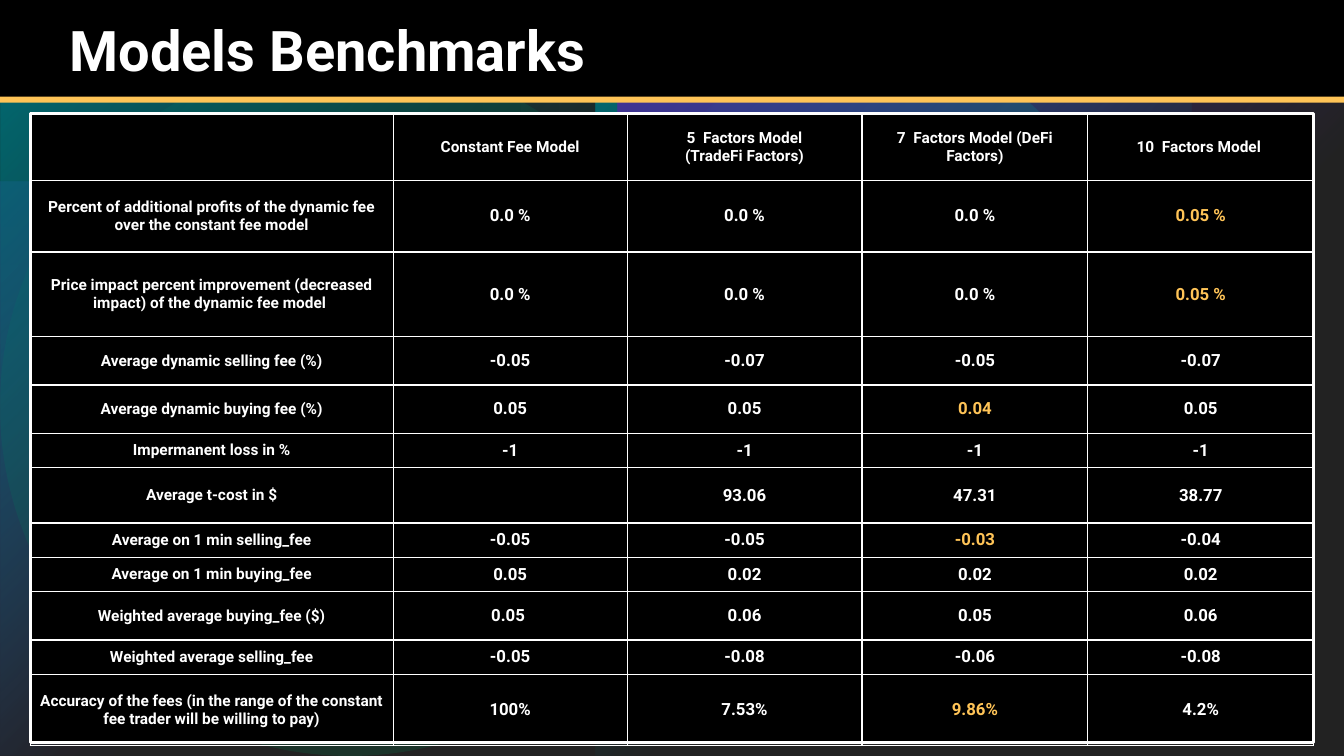
from pptx import Presentation
from pptx.dml.color import RGBColor
from pptx.enum.shapes import MSO_SHAPE
from pptx.enum.text import MSO_ANCHOR, PP_ALIGN
from pptx.oxml import parse_xml
from pptx.oxml.ns import nsdecls, qn
from pptx.util import Inches, Pt

RECT, OVAL = MSO_SHAPE.RECTANGLE, MSO_SHAPE.OVAL
MIDDLE, LEFT, CENTER = MSO_ANCHOR.MIDDLE, PP_ALIGN.LEFT, PP_ALIGN.CENTER
FONT = "Roboto"
WHITE, BLACK, GOLD = "FFFFFF", "000000", "FFC457"
TEAL, VIOLET, GREEN = "00BAC8", "794DFF", "00D17D"

COLS = [3.6, 2.32, 2.33, 2.24, 2.24]
ROWS = [0.66, 0.71, 0.84, 0.48, 0.48, 0.34, 0.55, 0.34, 0.34, 0.48, 0.34, 0.71]
HEADS = ["", "Constant Fee Model", "5  Factors Model\n(TradeFi Factors)",
         "7  Factors Model (DeFi Factors)", "10  Factors Model "]
BODY = [
    ["Percent of additional profits of the dynamic fee over the constant fee model",
     "0.0 %", "0.0 %", "0.0 %", "0.05 %"],
    ["Price impact percent improvement (decreased impact) of the dynamic fee model ",
     "0.0 %", "0.0 %", "0.0 %", "0.05 %"],
    ["Average dynamic selling fee (%)", "-0.05", "-0.07", "-0.05", "-0.07"],
    ["Average dynamic buying fee (%)", "0.05", "0.05", "0.04", "0.05"],
    ["Impermanent loss in %", "-1", "-1", "-1", "-1"],
    ["Average t-cost in $", "", "93.06", "47.31", "38.77"],
    ["Average on 1 min selling_fee", "-0.05", "-0.05", "-0.03", "-0.04"],
    ["Average on 1 min buying_fee", "0.05", "0.02", "0.02", "0.02"],
    ["Weighted average buying_fee ($)", "0.05 ", "0.06", "0.05", "0.06"],
    ["Weighted average selling_fee", "-0.05", "-0.08", "-0.06", "-0.08"],
    ["Accuracy of the fees (in the range of the constant fee trader will be willing to pay)",
     "100%", "7.53%", "9.86%", "4.2%"],
]
BEST = {(1, 4), (2, 4), (4, 3), (7, 3), (11, 3)}


def rgb(color):
    return RGBColor.from_string(color)


def fade(fill, props, stops, kind):
    """Fill with a gradient that spreads from the top left corner."""
    fill.gradient()
    marks = "".join(
        f'<a:gs pos="{pos * 1000}"><a:srgbClr val="{color}">'
        f'<a:alpha val="{alpha * 1000}"/></a:srgbClr></a:gs>'
        for pos, color, alpha in stops)
    new = parse_xml(
        f'<a:gradFill {nsdecls("a")} rotWithShape="1"><a:gsLst>{marks}</a:gsLst>'
        f'<a:path path="{kind}"><a:fillToRect r="100000" b="100000"/></a:path>'
        '</a:gradFill>')
    old = props.find(qn("a:gradFill"))
    props.replace(old, new)


def block(slide, box, color, alpha=100, kind=RECT, line=None, width=1):
    shape = slide.shapes.add_shape(kind, *map(Inches, box))
    shape.shadow.inherit = False
    shape.fill.solid()
    shape.fill.fore_color.rgb = rgb(color)
    if alpha < 100:
        tint = shape.element.spPr.find(qn("a:solidFill"))[0]
        tint.append(parse_xml(f'<a:alpha {nsdecls("a")} val="{alpha * 1000}"/>'))
    if line:
        shape.line.color.rgb = rgb(line)
        shape.line.width = Pt(width)
    else:
        shape.line.fill.background()
    return shape


def glow(slide, box, color, alpha=100, turn=0, flips=("flipV",)):
    shape = block(slide, box, color)
    fade(shape.fill, shape.element.spPr,
         [(0, color, alpha), (60, color, 0)], "circle")
    shape.rotation = turn
    for flip in flips:
        shape.element.spPr.xfrm.set(flip, "1")


def backdrop(slide, wide, high):
    fill = slide.background.fill
    fill.solid()
    props = slide.element.find(".//" + qn("p:bgPr"))
    fade(fill, props, [(0, "002060", 100), (16, "303030", 100),
                       (40, "2D2D2D", 100), (100, "393939", 100)], "rect")
    glow(slide, (0, 1.8, 5.71, 5.7), VIOLET, 60)
    block(slide, (6.29, 0.43, 4.72, 4.72), GREEN, 60, OVAL)
    block(slide, (0, 0.56, 6.94, 6.94), GREEN, 20, OVAL)
    glow(slide, (0, 0, 5.91, high), TEAL, turn=180)
    glow(slide, (5.91, 0, 5.91, high), TEAL, turn=180, flips=("flipH", "flipV"))
    glow(slide, (6.13, 0, 7.2, 7.21), VIOLET, turn=180)
    block(slide, (0, 0, wide, high), BLACK, 40)


def write(para, text, size, color=WHITE):
    run = para.add_run()
    run.text = text
    font = run.font
    font.name, font.size, font.bold = FONT, Pt(size), True
    font.color.rgb = rgb(color)


def banner(slide, wide):
    block(slide, (0, -0.03, wide, 1.02), BLACK, line=BLACK)
    block(slide, (0, 0.96, wide, 0.06), GOLD)
    title = slide.shapes.title
    title.left, title.top = Inches(0.59), Inches(0.16)
    title.width, title.height = Inches(12.14), Inches(0.74)
    title.element.getparent().append(title.element)
    title.text_frame.vertical_anchor = MIDDLE
    para = title.text_frame.paragraphs[0]
    para.alignment, para.line_spacing = LEFT, 0.9
    write(para, "Models Benchmarks", 40)


def border(cell):
    props = cell._tc.get_or_add_tcPr()
    for spot, side in enumerate(("lnL", "lnR", "lnT", "lnB")):
        props.insert(spot, parse_xml(
            f'<a:{side} {nsdecls("a")} w="12700"><a:solidFill>'
            f'<a:srgbClr val="{WHITE}"/></a:solidFill></a:{side}>'))


def fill_cell(cell, text, size, color):
    cell.fill.background()
    border(cell)
    cell.vertical_anchor = MIDDLE
    cell.margin_left = cell.margin_right = Inches(0.05)
    cell.margin_top = cell.margin_bottom = Inches(0.05)
    if not text:
        return
    frame = cell.text_frame
    for spot, part in enumerate(text.split("\n")):
        para = frame.add_paragraph() if spot else frame.paragraphs[0]
        para.alignment = CENTER
        write(para, part, size, color)


def scores(slide, left, top, wide, high):
    block(slide, (left, top, wide, high), BLACK, line=WHITE, width=2.25)
    data = [HEADS] + BODY
    frame = slide.shapes.add_table(len(ROWS), len(COLS), *map(
        Inches, (left, top, wide, high)))
    table = frame.table
    table.first_row = table.horz_banding = False
    for col, size in zip(table.columns, COLS):
        col.width = Inches(size)
    for row, size in zip(table.rows, ROWS):
        row.height = Inches(size)
    for r, line in enumerate(data):
        for c, text in enumerate(line):
            fill_cell(table.cell(r, c), text, 12 if r and c else 11,
                      GOLD if (r, c) in BEST else WHITE)


def main():
    deck = Presentation()
    wide, high = 13.33, 7.5
    deck.slide_width, deck.slide_height = Inches(wide), Inches(high)
    slide = deck.slides.add_slide(deck.slide_layouts[5])
    backdrop(slide, wide, high)
    banner(slide, wide)
    scores(slide, 0.3, 1.13, 12.73, 6.24)
    deck.save("out.pptx")


if __name__ == "__main__":
    main()
